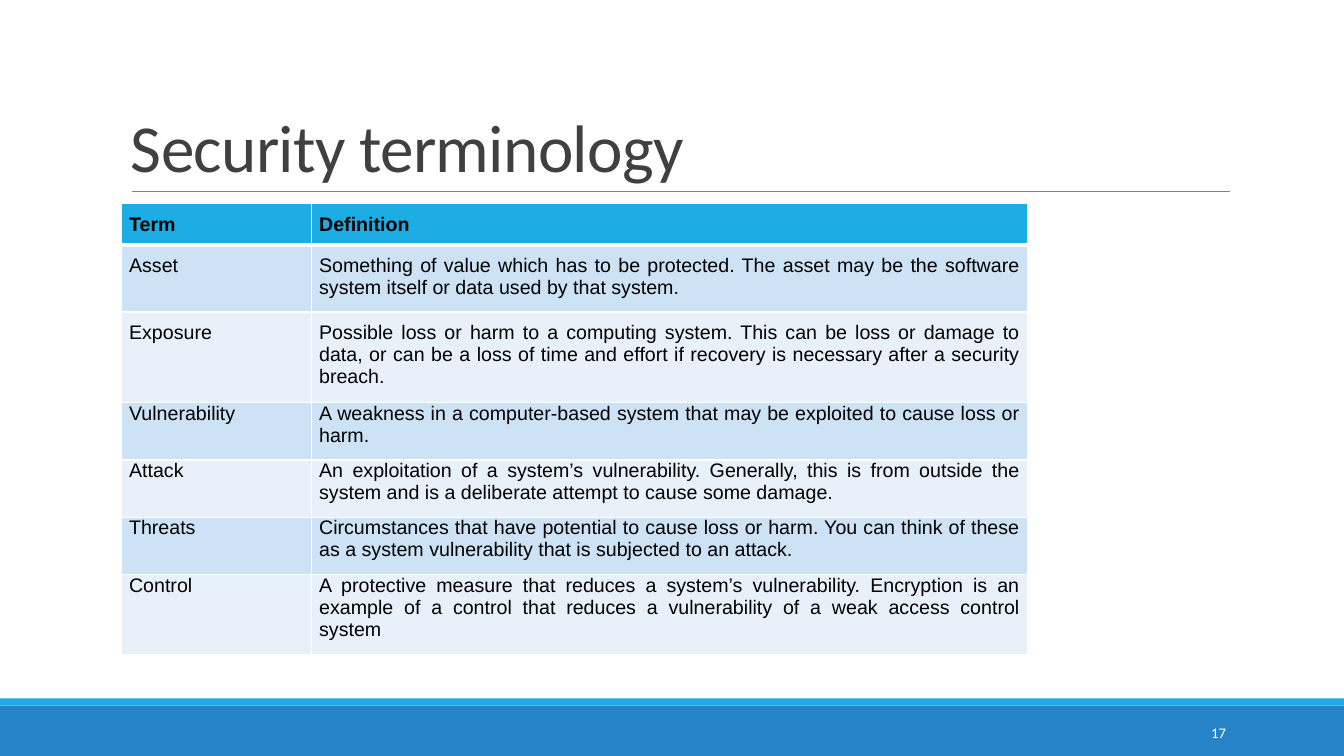
from pptx import Presentation
from pptx.dml.color import RGBColor
from pptx.enum import shapes, text
from pptx.oxml import parse_xml
from pptx.oxml import ns
from pptx.util import Pt

ROWS = [
    ("Term", "Definition"),
    ("Asset", "Something of value which has to be protected. The asset may be "
              "the software system itself or data used by that system."),
    ("Exposure", "Possible loss or harm to a computing system. This can be loss or "
                 "damage to data, or can be a loss of time and effort if recovery is "
                 "necessary after a security breach."),
    ("Vulnerability", "A weakness in a computer-based system that may be exploited "
                      "to cause loss or harm."),
    ("Attack", "An exploitation of a system’s vulnerability. Generally, this is from "
               "outside the system and is a deliberate attempt to cause some damage."),
    ("Threats", "Circumstances that have potential to cause loss or harm. You can think "
                "of these as a system vulnerability that is subjected to an attack."),
    ("Control", "A protective measure that reduces a system’s vulnerability. Encryption "
                "is an example of a control that reduces a vulnerability of a weak "
                "access control system"),
]
HEADER_FILL = "1CADE4"
BAND_FILLS = ("CDE3F5", "E8F1FA")


def color(hex_value):
    return RGBColor.from_string(hex_value)


def paint(fill, hex_value):
    fill.solid()
    fill.fore_color.rgb = color(hex_value)


def write(tf, content, size=14, font="Arial", hex_value="000000", bold=False,
          align=text.PP_ALIGN.LEFT, line_spacing=None, tracking=None):
    p = tf.paragraphs[0]
    p.alignment = align
    if line_spacing:
        p.line_spacing = line_spacing
    r = p.add_run()
    r.text = content
    r.font.size = Pt(size)
    r.font.name = font
    r.font.bold = bold
    r.font.color.rgb = color(hex_value)
    if tracking:
        r.font._element.set("spc", str(int(tracking * 100)))


def add_band(s, top, height, hex_value):
    sp = s.shapes.add_shape(shapes.MSO_SHAPE.RECTANGLE, 0, Pt(top), Pt(960), Pt(height))
    sp.shadow.inherit = False
    paint(sp.fill, hex_value)
    sp.line.fill.background()


def add_rule(s, left, right, y):
    line = s.shapes.add_connector(shapes.MSO_CONNECTOR.STRAIGHT,
                                  Pt(left), Pt(y), Pt(right), Pt(y))
    line.line.color.rgb = color("808080")
    line.line.width = Pt(0.5)
    line._element.spPr.append(parse_xml(f"<a:effectLst {ns.nsdecls('a')}/>"))


def add_text(s, left, top, width, height, content, anchor, **fmt):
    tf = s.shapes.add_textbox(Pt(left), Pt(top), Pt(width), Pt(height)).text_frame
    tf.word_wrap = True
    tf.vertical_anchor = anchor
    write(tf, content, **fmt)


def add_borders(cell, bottom):
    tcPr = cell._tc.get_or_add_tcPr()
    for side, width in (("L", 1), ("R", 1), ("T", 1), ("B", bottom)):
        tcPr.append(parse_xml(
            f'<a:ln{side} {ns.nsdecls("a")} w="{Pt(width)}"><a:solidFill>'
            f'<a:srgbClr val="FFFFFF"/></a:solidFill></a:ln{side}>'))


def add_terms(s, left, top, widths, row_height):
    table = s.shapes.add_table(len(ROWS), len(widths), Pt(left), Pt(top),
                               Pt(sum(widths)), Pt(row_height * len(ROWS))).table
    for column, width in zip(table.columns, widths):
        column.width = Pt(width)
    for i, row in enumerate(ROWS):
        header = i == 0
        for j, content in enumerate(row):
            cell = table.cell(i, j)
            cell.margin_left = cell.margin_right = Pt(5.4)
            cell.margin_top = Pt(7.2 if i < 3 else 0)
            cell.margin_bottom = Pt(0 if header else 7.2)
            add_borders(cell, 3 if header else 1)
            paint(cell.fill, HEADER_FILL if header else BAND_FILLS[(i - 1) % 2])
            write(cell.text_frame, content, bold=header, align=text.PP_ALIGN.JUSTIFY)


def main():
    prs = Presentation()
    prs.slide_width, prs.slide_height = Pt(960), Pt(540)
    s = prs.slides.add_slide(prs.slide_layouts[6])
    add_band(s, 504, 36, "2683C6")
    add_band(s, 498.8, 5.2, HEADER_FILL)
    add_rule(s, 94.1, 878.9, 136.8)
    add_text(s, 86.4, 22.6, 792, 114.2, "Security terminology", text.MSO_ANCHOR.BOTTOM,
             size=48, font="Calibri", hex_value="404040", line_spacing=0.85, tracking=-0.5)
    add_terms(s, 86.8, 145.6, (135.8, 511.6), 29.2)
    add_text(s, 779.8, 508.6, 103, 28.8, "17", text.MSO_ANCHOR.MIDDLE, size=10.5,
             font="Calibri", hex_value="FFFFFF", align=text.PP_ALIGN.RIGHT)
    prs.save("out.pptx")


if __name__ == "__main__":
    main()
